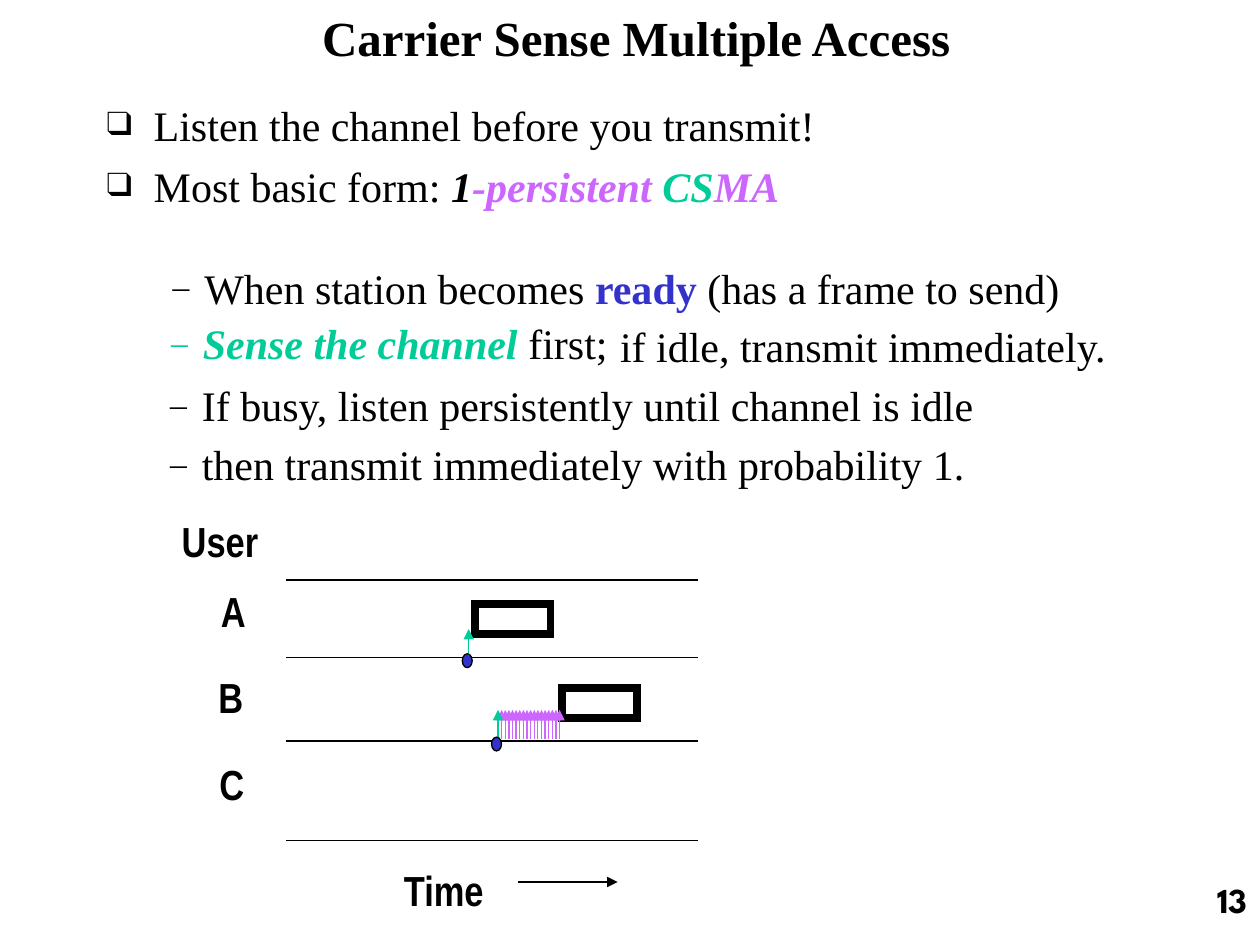
import pptx
import pptx.dml.color
import pptx.enum.shapes
import pptx.enum.text
import pptx.oxml.ns
import pptx.util
from lxml import etree

Cm = pptx.util.Cm
Pt = pptx.util.Pt
ALIGN = pptx.enum.text.PP_ALIGN
ANCHOR = pptx.enum.text.MSO_ANCHOR
SHAPE = pptx.enum.shapes.MSO_SHAPE

BLACK, WHITE = "000000", "FFFFFF"
GREEN, VIOLET, BLUE = "00CC99", "CC66FF", "3333CC"
SERIF, NARROW = "Times New Roman", "Arial Narrow"


def color(hex_code):
    return pptx.dml.color.RGBColor.from_string(hex_code)


def add_element(parent, tag, **attributes):
    return etree.SubElement(parent, pptx.oxml.ns.qn(tag), attributes)


def set_bullet(paragraph, char, hex_code, indent):
    properties = paragraph._p.get_or_add_pPr()
    properties.set("marL", str(Cm(indent)))
    properties.set("indent", str(-Cm(indent)))
    add_element(add_element(properties, "a:buClr"), "a:srgbClr", val=hex_code)
    add_element(properties, "a:buSzPct", val="80000")
    add_element(properties, "a:buFont", typeface=SERIF)
    add_element(properties, "a:buChar", char=char)


def write(paragraph, runs, size=24, name=SERIF, bold=None, align=ALIGN.LEFT):
    """Fill a paragraph from (text, colour, bold, italic) runs; the last three may be left out."""
    paragraph.alignment = align
    font = paragraph.font
    font.size, font.name, font.bold = Pt(size), name, bold
    font.color.rgb = color(BLACK)
    for text, *style in runs:
        run = paragraph.add_run()
        run.text = text
        if style:
            hex_code, run.font.bold, run.font.italic = style
            run.font.color.rgb = color(hex_code)


def add_box(slide, left, top, width, height):
    box = slide.shapes.add_textbox(Cm(left), Cm(top), Cm(width), Cm(height))
    box.text_frame.word_wrap = True
    return box


def make_tight(frame):
    """Remove the margins and centre the text vertically."""
    frame.margin_left = frame.margin_right = frame.margin_top = frame.margin_bottom = 0
    frame.vertical_anchor = ANCHOR.MIDDLE


def add_line(slide, x1, y1, x2, y2, hex_code=BLACK, arrow=False):
    line = slide.shapes.add_connector(
        pptx.enum.shapes.MSO_CONNECTOR.STRAIGHT, Cm(x1), Cm(y1), Cm(x2), Cm(y2))
    line.line.color.rgb = color(hex_code)
    line.line.width = Pt(0.75)
    if arrow:
        add_element(line.line._get_or_add_ln(), "a:tailEnd", type="triangle")
    add_element(line._element.spPr, "a:effectLst")


def add_shape(slide, kind, left, top, width, height, fill=None, outline=None):
    shape = slide.shapes.add_shape(kind, Cm(left), Cm(top), Cm(width), Cm(height))
    shape.shadow.inherit = False
    if fill:
        shape.fill.solid()
        shape.fill.fore_color.rgb = color(fill)
    else:
        shape.fill.background()
    if outline:
        shape.line.color.rgb = color(BLACK)
        shape.line.width = Pt(outline)
        add_element(shape.line._get_or_add_ln(), "a:miter", lim="800000")
    else:
        shape.line.fill.background()
    return shape


def add_title(slide, left, top, width, height):
    frame = add_box(slide, left, top, width, height).text_frame
    frame.vertical_anchor = ANCHOR.MIDDLE
    write(frame.paragraphs[0], [("Carrier Sense Multiple Access",)],
          size=28, bold=True, align=ALIGN.CENTER)


def add_page_number(slide, left, top, width, height):
    frame = add_box(slide, left, top, width, height).text_frame
    write(frame.paragraphs[0], [("13",)], size=20, name="League Spartan",
          bold=True, align=ALIGN.RIGHT)


def add_main_points(slide, left, top, width, height):
    frame = add_box(slide, left, top, width, height).text_frame
    points = [
        [("Listen the channel before you transmit!",)],
        [("Most basic form: ",), ("1", BLACK, True, True),
         ("-persistent ", VIOLET, True, True),
         ("CS", GREEN, True, True), ("MA", VIOLET, True, True)],
    ]
    for index, runs in enumerate(points):
        paragraph = frame.add_paragraph() if index else frame.paragraphs[0]
        if index:
            paragraph.space_before = Pt(6)
        set_bullet(paragraph, "❑", BLACK, 0.95)
        write(paragraph, runs)


def add_steps(slide, left, top):
    steps = [  # x, y, width, dash colour, runs
        (0.05, 0, 18.4, BLACK, [("When station becomes ",), ("ready", BLUE, True, False),
                                (" (has a frame to send)",)]),
        (0.02, 1.12, 9.02, GREEN, [("Sense the channel", GREEN, True, True), (" first;",)]),
        (9.07, 1.17, 10.3, None, [("if idle, transmit immediately.",)]),
        (0, 2.37, 16.7, BLACK, [("If busy, listen persistently until channel is idle",)]),
        (0, 3.56, 16.7, BLACK, [("then transmit immediately with probability 1.",)]),
    ]
    for x, y, width, dash_color, runs in steps:
        frame = add_box(slide, left + x, top + y, width, 1.02).text_frame
        make_tight(frame)
        if dash_color:
            set_bullet(frame.paragraphs[0], "–", dash_color, 0.64)
        write(frame.paragraphs[0], runs)


def add_timeline(slide, left, top, width):
    for x, y in [(5.92, 1.78), (7.67, 3.48)]:
        add_shape(slide, SHAPE.RECTANGLE, left + x, top + y, 1.52, 0.61, outline=4.5)

    labels = [("User", 0, 0, 1.55), ("A", 0.79, 1.42, 0.51), ("B", 0.74, 3.15, 0.51),
              ("C", 0.76, 4.9, 0.51), ("Time", 4.47, 7.04, 1.63)]
    for text, x, y, label_width in labels:
        label = add_shape(slide, SHAPE.RECTANGLE, left + x, top + y, label_width, 1.02, WHITE)
        make_tight(label.text_frame)
        label.text_frame.word_wrap = False
        write(label.text_frame.paragraphs[0], [(text,)], name=NARROW, bold=True,
              align=ALIGN.CENTER)
    add_line(slide, left + 6.78, top + 7.39, left + 8.79, top + 7.39, arrow=True)

    for y in (1.3, 2.87, 4.55, 6.55):
        add_line(slide, left + 2.11, top + y, left + width, top + y)

    first_sense, last_sense, retries = 6.38, 7.62, 17
    gap = (last_sense - first_sense) / retries
    senses = [(5.79, 2.87, GREEN)]
    senses += [(first_sense + gap * n, 4.5, VIOLET) for n in range(1, retries + 1)]
    senses.append((first_sense, 4.5, GREEN))
    for x, y, hex_code in senses:
        add_line(slide, left + x, top + y, left + x, top + y - 0.58, hex_code, arrow=True)

    for x, y in [(5.66, 2.79), (6.25, 4.47)]:
        add_shape(slide, SHAPE.OVAL, left + x, top + y, 0.2, 0.28, BLUE, 0.75)


def main():
    presentation = pptx.Presentation()
    presentation.slide_width, presentation.slide_height = Cm(25.4), Cm(19.05)
    slide = presentation.slides.add_slide(presentation.slide_layouts[6])
    add_page_number(slide, 20.12, 17.58, 5.28, 1.27)
    add_title(slide, 2.03, 0, 21.59, 1.47)
    add_timeline(slide, 3.66, 10.39, 10.41)
    add_main_points(slide, 1.9, 1.88, 23.5, 5.08)
    add_steps(slide, 3.43, 5.28)
    presentation.save("out.pptx")


if __name__ == "__main__":
    main()
